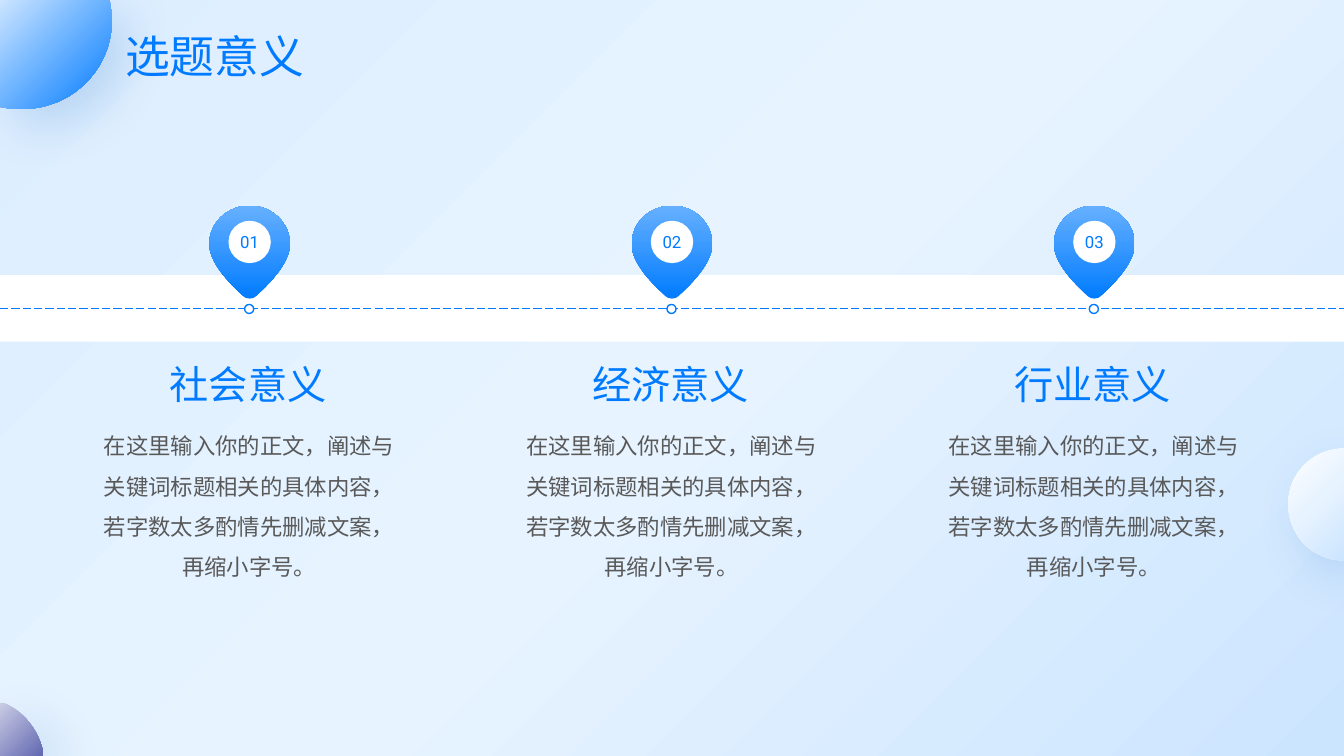
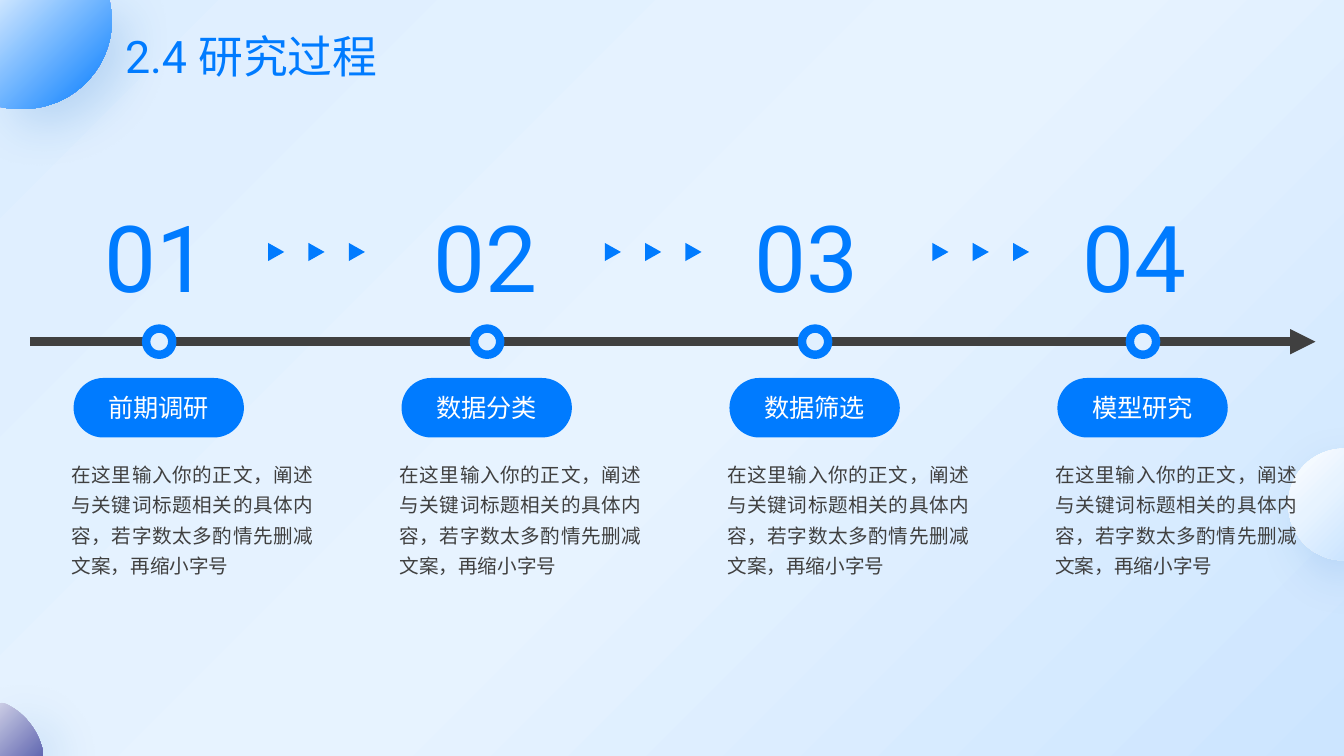
import dataclasses

import lxml.etree
import pptx
import pptx.dml.color
import pptx.enum.dml
import pptx.enum.lang
import pptx.enum.shapes
import pptx.enum.text
import pptx.oxml
import pptx.oxml.ns
import pptx.util

Inches = pptx.util.Inches
Pt = pptx.util.Pt
qn = pptx.oxml.ns.qn
SHAPE = pptx.enum.shapes.MSO_SHAPE
ALIGN = pptx.enum.text.PP_ALIGN
ANCHOR = pptx.enum.text.MSO_ANCHOR


@dataclasses.dataclass(frozen=True)
class Theme:
    width: float = 40 / 3
    height: float = 7.5
    font: str = "Roboto"
    blue: str = "007BFF"
    light_blue: str = "66B0FF"
    white: str = "FFFFFF"
    ring: str = "E1F0FF"
    grey: str = "595959"
    dark: str = "404040"
    shadow: str = "005CBF"
    background: tuple = ((0, "DDEEFF"), (52, "E7F3FF"), (100, "CCE5FF"))
    title_size: int = 32
    heading_size: int = 28
    body_size: int = 16
    pin_size: int = 12
    number_size: int = 66
    pill_size: int = 18
    note_size: int = 14


T = Theme()

# Outlines: a start point, then line ends (2 numbers) or Bezier curves (6 numbers).
ORBS = [
    ([(0, 0), (1.09, 0), (1.09, 0.02), (1.1, 0.08, 1.11, 0.14, 1.11, 0.2),
      (1.11, 0.69, 0.71, 1.08, 0.23, 1.08), (0.16, 1.08, 0.1, 1.08, 0.05, 1.07),
      (0, 1.06)],
     [(0, "CCE5FF"), (100, "007BFF")]),
    ([(T.width, 4.45), (T.width, 5.56), (13.02, 5.56, 12.78, 5.31, 12.78, 5),
      (12.78, 4.7, 13.02, 4.45, T.width, 4.45)],
     [(0, "FFFFFF"), (49, "E7F3FF"), (100, "CCE5FF")]),
    ([(0, 6.97), (0.05, 6.98), (0.23, 7.06, 0.37, 7.23, 0.42, 7.43),
      (0.42, 7.5), (0, 7.5)],
     [(0, "CBCDE5"), (100, "6369B2")]),
]
PIN = [(0.06, 2.94), (0.29, 2.73, 0.4, 2.56, 0.4, 2.42),
       (0.4, 2.21, 0.22, 2.04, 0, 2.04), (-0.22, 2.04, -0.4, 2.21, -0.4, 2.42),
       (-0.4, 2.56, -0.29, 2.73, -0.06, 2.94), (-0.03, 2.97, 0.03, 2.97, 0.06, 2.94)]

NOTE = "在这里输入你的正文，阐述与关键词标题相关的具体内容，若字数太多酌情先删减文案，再缩小字号"
MEANINGS = ["社会意义", "经济意义", "行业意义"]
# Step name and left edge of its number
STEPS = [("前期调研", 0.94), ("数据分类", 4.2), ("数据筛选", 7.39), ("模型研究", 10.64)]
ARROW_LEFTS = [2.65, 5.99, 9.24]


def rgb(color):
    return pptx.dml.color.RGBColor.from_string(color)


def sub(parent, tag, **attrs):
    el = lxml.etree.SubElement(parent, qn(tag))
    for name, value in attrs.items():
        el.set(name, str(value))
    return el


def set_gradient(fill, element, stops, angle):
    """Fill with stops of (percent, colour), angle clockwise in degrees."""
    fill.gradient()
    grad = element.find(".//" + qn("a:gradFill"))
    for child in list(grad):
        grad.remove(child)
    gs_list = sub(grad, "a:gsLst")
    for pos, color in stops:
        sub(sub(gs_list, "a:gs", pos=pos * 1000), "a:srgbClr", val=color)
    sub(grad, "a:lin", ang=angle * 60000, scaled=0)


def set_soft_shadow(shape):
    effects = shape.element.spPr.find(qn("a:effectLst"))
    shadow = sub(effects, "a:outerShdw", blurRad=Pt(35), dist=Pt(16),
                 dir=45 * 60000, algn="tl", rotWithShape=0)
    sub(sub(shadow, "a:srgbClr", val=T.shadow), "a:alpha", val=16000)


def style_runs(tf, size, color, align=ALIGN.LEFT, spacing=None):
    for p in tf.paragraphs:
        p.alignment = align
        if spacing:
            p.line_spacing = spacing
        for r in p.runs:
            r.font.size = Pt(size)
            r.font.name = T.font
            r.font.color.rgb = rgb(color)
            r.font.language_id = pptx.enum.lang.MSO_LANGUAGE_ID.SIMPLIFIED_CHINESE
            latin = r.font._element.find(qn("a:latin"))
            east = pptx.oxml.parse_xml(lxml.etree.tostring(latin))
            east.tag = qn("a:ea")
            latin.addnext(east)


def set_margins(tf, margin):
    tf.margin_left = tf.margin_top = tf.margin_right = tf.margin_bottom = Inches(margin)


def add_text(shapes, text, left, top, width, height, size, color,
             align=ALIGN.LEFT, spacing=None, wrap=True):
    tf = shapes.add_textbox(Inches(left), Inches(top), Inches(width), Inches(height)).text_frame
    tf.word_wrap = wrap
    tf.text = text
    style_runs(tf, size, color, align, spacing)
    return tf


def add_shape(shapes, kind, left, top, width, height, fill, line=None, line_width=1):
    sp = shapes.add_shape(kind, Inches(left), Inches(top), Inches(width), Inches(height))
    sp.shadow.inherit = False
    sp.fill.solid()
    sp.fill.fore_color.rgb = rgb(fill)
    if line:
        sp.line.color.rgb = rgb(line)
        sp.line.width = Pt(line_width)
    else:
        sp.line.fill.background()
    return sp


def set_label(sp, text, size, color):
    tf = sp.text_frame
    tf.text = text
    tf.vertical_anchor = ANCHOR.MIDDLE
    style_runs(tf, size, color, ALIGN.CENTER)
    return tf


def add_line(shapes, x1, x2, y, color, width):
    line = shapes.add_connector(pptx.enum.shapes.MSO_CONNECTOR.STRAIGHT,
                                Inches(x1), Inches(y), Inches(x2), Inches(y))
    line.line.color.rgb = rgb(color)
    line.line.width = Pt(width)
    sub(line.element.spPr, "a:effectLst")
    return line


def bend_segments(sp, segments):
    """Join the three line ends of each Bezier segment into one curve."""
    ends = iter(sp.element.findall(".//" + qn("a:lnTo")))
    for segment in segments:
        first = next(ends)
        if len(segment) == 6:
            first.tag = qn("a:cubicBezTo")
            for _ in range(2):
                end = next(ends)
                first.append(end[0])
                end.getparent().remove(end)


def add_outline(shapes, outline, stops, angle, dx=0):
    points = [(Inches(segment[k] + dx), Inches(segment[k + 1]))
              for segment in outline for k in range(0, len(segment), 2)]
    builder = shapes.build_freeform(*points[0])
    builder.add_line_segments(points[1:], close=True)
    sp = builder.convert_to_shape()
    bend_segments(sp, outline[1:])
    sp.shadow.inherit = False
    sp.line.fill.background()
    set_gradient(sp.fill, sp.element, stops, angle)
    return sp


def set_up_layout(prs):
    """Put the background and the title place on the layout of all slides."""
    layout = prs.slide_layouts.get_by_name("Title Only")
    set_gradient(layout.background.fill, layout.element, T.background, 45)
    title = next(ph for ph in layout.placeholders if ph.placeholder_format.idx == 0)
    title.left, title.top = Inches(1.14), Inches(0.26)
    title.width, title.height = Inches(3), Inches(0.66)
    title.text_frame.vertical_anchor = ANCHOR.MIDDLE
    title.text_frame.auto_size = pptx.enum.text.MSO_AUTO_SIZE.NONE
    return layout


def move_orbs_to_layout(s):
    """Draw the orbs with the slide's builder, then hand them to its layout."""
    tree = s.slide_layout.shapes.element
    for i, (outline, stops) in enumerate(ORBS):
        sp = add_outline(s.shapes, outline, stops, 45)
        set_soft_shadow(sp)
        tree.insert(2 + i, sp.element)


def add_slide(prs, layout, title):
    s = prs.slides.add_slide(layout)
    tf = s.shapes.title.text_frame
    tf.text = title
    style_runs(tf, T.title_size, T.blue, spacing=0.9)
    return s


def add_meaning(shapes, number, heading, center):
    add_outline(shapes, PIN, [(0, T.blue), (100, T.light_blue)], 270, dx=center)
    badge = add_shape(shapes, SHAPE.OVAL, center - 0.21, 2.19, 0.42, 0.42, T.white)
    set_margins(set_label(badge, f"{number:02}", T.pin_size, T.blue), 0)
    add_text(shapes, heading, center - 0.89, 3.53, 1.77, 0.57,
             T.heading_size, T.blue, wrap=False)
    add_text(shapes, NOTE + "。", center - 1.61, 4.11, 3.21, 1.67,
             T.body_size, T.grey, ALIGN.CENTER, 1.5)
    add_shape(shapes, SHAPE.OVAL, center - 0.05, 3.02, 0.09, 0.09, T.white, T.blue)


def add_number(shapes, text, left):
    tf = add_text(shapes, text, left, 1.94, 1.4, 1.21, T.number_size, T.blue, wrap=False)
    rpr = tf.paragraphs[0].runs[0].font._element
    ln = sub(rpr, "a:ln", w=Pt(0.75))
    sub(sub(ln, "a:solidFill"), "a:srgbClr", val=T.blue)
    rpr.insert(0, ln)


def add_step(shapes, name, left):
    group = shapes.add_group_shape().shapes
    pill = add_shape(group, SHAPE.ROUNDED_RECTANGLE, left + 0.02, 3.75, 1.69, 0.59, T.blue)
    pill.adjustments[0] = 0.5
    set_label(pill, name, T.pill_size, T.white)
    tf = add_text(group, NOTE, left, 4.52, 2.4, 1.18,
                  T.note_size, T.dark, ALIGN.JUSTIFY, 1.3)
    set_margins(tf, 0)


def add_arrow_row(shapes, left):
    group = shapes.add_group_shape().shapes
    for i in range(3):
        arrow = add_shape(group, SHAPE.ISOSCELES_TRIANGLE,
                          left + 0.4 * i, 2.42, 0.18, 0.16, T.blue)
        arrow.rotation = 90


def build_meaning_slide(s):
    add_shape(s.shapes, SHAPE.RECTANGLE, 0, 2.73, T.width, 0.66, T.white)
    line = add_line(s.shapes, 0, T.width, 3.06, T.blue, 0.75)
    line.line.dash_style = pptx.enum.dml.MSO_LINE.LONG_DASH
    for i, heading in enumerate(MEANINGS):
        add_meaning(s.shapes, i + 1, heading, T.width / 2 + 4.19 * (i - 1))


def build_process_slide(s):
    step = 9.76 / (len(STEPS) - 1)
    axis = add_line(s.shapes, 0.3, 13.05, 3.39, T.dark, 6)
    sub(axis.line._get_or_add_ln(), "a:tailEnd", type="triangle")
    for i in range(len(STEPS)):
        add_shape(s.shapes, SHAPE.OVAL, 1.45 + step * i, 3.26, 0.26, 0.26,
                  T.ring, T.blue, 6)
    for i, (name, _) in enumerate(STEPS):
        add_step(s.shapes, name, 0.71 + step * i)
    for i, (_, left) in enumerate(STEPS):
        add_number(s.shapes, f"{i + 1:02}", left)
    for left in ARROW_LEFTS:
        add_arrow_row(s.shapes, left)


def main():
    prs = pptx.Presentation()
    prs.slide_width, prs.slide_height = Inches(T.width), Inches(T.height)
    layout = set_up_layout(prs)
    meaning = add_slide(prs, layout, "选题意义")
    move_orbs_to_layout(meaning)
    build_meaning_slide(meaning)
    build_process_slide(add_slide(prs, layout, "2.4 研究过程"))
    prs.save("out.pptx")


if __name__ == "__main__":
    main()
